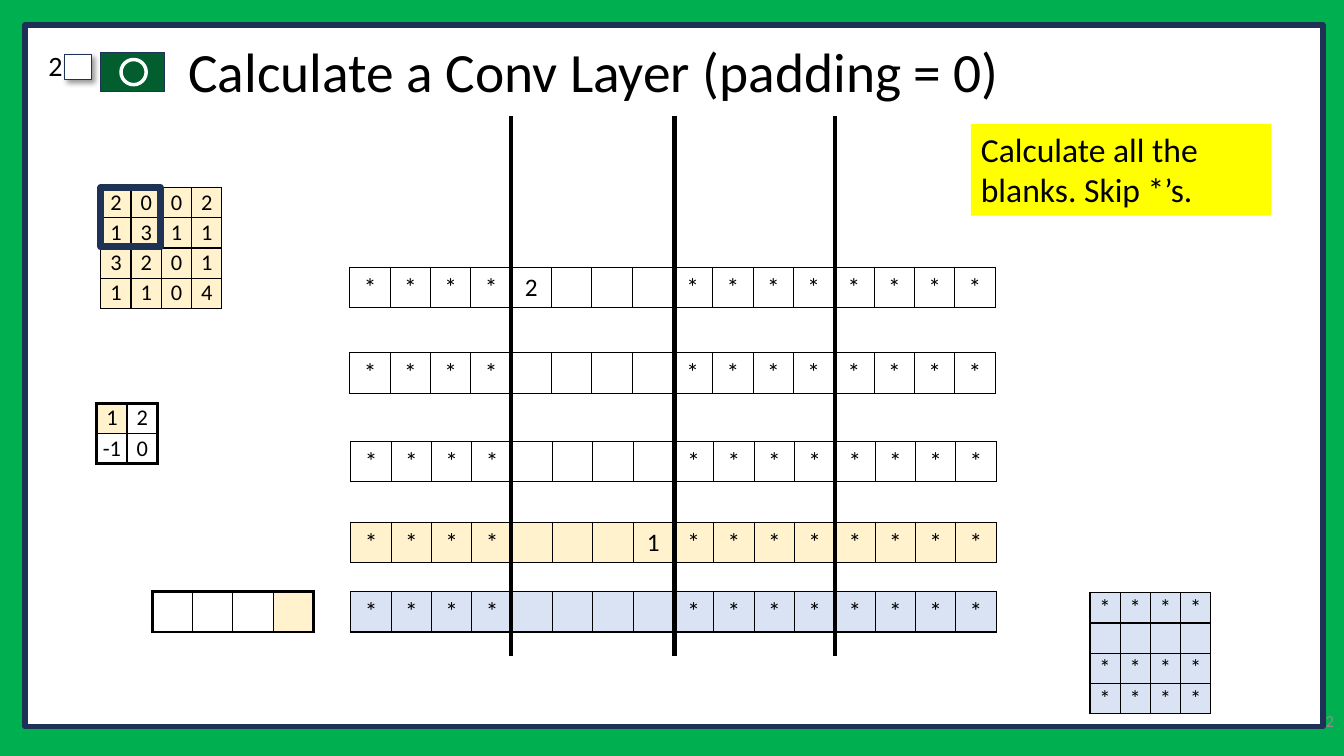
from lxml import etree
from pptx import Presentation
from pptx.dml.color import RGBColor
from pptx.enum.shapes import MSO_CONNECTOR, MSO_SHAPE
from pptx.enum.text import MSO_ANCHOR, PP_ALIGN
from pptx.oxml import parse_xml
from pptx.oxml.ns import nsdecls, qn
from pptx.util import Inches, Pt

RECTANGLE, OVAL = MSO_SHAPE.RECTANGLE, MSO_SHAPE.OVAL
STRAIGHT = MSO_CONNECTOR.STRAIGHT
TOP, MIDDLE = MSO_ANCHOR.TOP, MSO_ANCHOR.MIDDLE
LEFT, CENTER, RIGHT = PP_ALIGN.LEFT, PP_ALIGN.CENTER, PP_ALIGN.RIGHT

GREEN = RGBColor(0x00, 0xB0, 0x50)
DARK_GREEN = RGBColor(0x03, 0x5E, 0x2F)
NAVY = RGBColor(0x1E, 0x32, 0x56)
WHITE = RGBColor(0xFF, 0xFF, 0xFF)
BLACK = RGBColor(0x00, 0x00, 0x00)
GRAY = RGBColor(0x8C, 0x8C, 0x8C)
YELLOW = RGBColor(0xFF, 0xFF, 0x00)
CREAM = RGBColor(0xFF, 0xF2, 0xCC)
PALE_BLUE = RGBColor(0xDA, 0xE3, 0xF3)

FONT = "Calibri"
UNIT = Inches(0.1)
LARGE_CELL, SMALL_CELL = 4, 3
THIN, THICK = 1, 2.25
SKIPPED = ["*"] * 4
BLANKS = [""] * 4


def grid(*counts):
    return [round(count * UNIT) for count in counts]


def write(paragraph, text, size, color=BLACK, align=LEFT):
    paragraph.alignment = align
    run = paragraph.add_run()
    run.text = text
    run.font.name = FONT
    run.font.size = Pt(size)
    run.font.color.rgb = color


def add_block(slide, kind, area, fill=None, line=None, width=1):
    block = slide.shapes.add_shape(kind, *grid(*area))
    block.shadow.inherit = False
    if fill is None:
        block.fill.background()
    else:
        block.fill.solid()
        block.fill.fore_color.rgb = fill
    if line is None:
        block.line.fill.background()
    else:
        block.line.color.rgb = line
        block.line.width = Pt(width)
    return block


def add_drop_shadow(block):
    effects = block._element.spPr.find(qn("a:effectLst"))
    effects.append(parse_xml(
        f'<a:outerShdw {nsdecls("a")} blurRad="{Pt(4)}" dist="{Pt(3)}" '
        'dir="2700000" algn="tl" rotWithShape="0"><a:srgbClr val="000000">'
        '<a:alpha val="40000"/></a:srgbClr></a:outerShdw>'))


def add_label(slide, area, text, size, color=BLACK, align=LEFT, anchor=MIDDLE, spacing=1.0):
    frame = slide.shapes.add_textbox(*grid(*area)).text_frame
    frame.word_wrap = True
    frame.vertical_anchor = anchor
    frame.paragraphs[0].line_spacing = spacing
    write(frame.paragraphs[0], text, size, color, align)


def set_border(cell, side, width):
    cell._tc.get_or_add_tcPr().append(parse_xml(
        f'<a:{side} {nsdecls("a")} w="{Pt(width)}"><a:solidFill>'
        f'<a:srgbClr val="{BLACK}"/></a:solidFill></a:{side}>'))


def add_matrix(slide, left, top, values, cell_size, fills, outer=THIN):
    row_count, col_count = len(values), len(values[0])
    area = grid(left, top, col_count * cell_size, row_count * cell_size)
    table = slide.shapes.add_table(row_count, col_count, *area).table
    table.first_row = table.horz_banding = False
    small = cell_size == SMALL_CELL
    size = 16 if small else 18
    for r, row in enumerate(values):
        for c, value in enumerate(row):
            cell = table.cell(r, c)
            if small:
                cell.margin_left = cell.margin_right = 0
                cell.margin_top = cell.margin_bottom = 0
            cell.vertical_anchor = MIDDLE
            edges = {"lnL": c == 0, "lnR": c == col_count - 1,
                     "lnT": r == 0, "lnB": r == row_count - 1}
            for side, at_edge in edges.items():
                set_border(cell, side, outer if at_edge else THIN)
            fill = fills.get((r, c)) if isinstance(fills, dict) else fills
            if fill is None:
                cell.fill.background()
            else:
                cell.fill.solid()
                cell.fill.fore_color.rgb = fill
            paragraph = cell.text_frame.paragraphs[0]
            if value:
                write(paragraph, value, size, align=CENTER)
            else:
                etree.SubElement(paragraph._p, qn("a:endParaRPr")).set("sz", str(size * 100))


def add_divider(slide, column, top, bottom):
    divider = slide.shapes.add_connector(STRAIGHT, *grid(column, top, column, bottom))
    divider.line.color.rgb = BLACK
    divider.line.width = Pt(3)
    etree.SubElement(divider._element.spPr, qn("a:effectLst"))


def add_header(slide):
    add_block(slide, RECTANGLE, (2.5, 2.5, 128.7, 69.6), WHITE, NAVY, 4)
    checkbox = add_block(slide, RECTANGLE, (6.4, 5.4, 2.7, 2.5), WHITE, NAVY)
    add_drop_shadow(checkbox)
    add_block(slide, RECTANGLE, (10, 5.2, 6.3, 3.9), DARK_GREEN, NAVY)
    add_block(slide, OVAL, (12, 5.9, 2.5, 2.5), DARK_GREEN, WHITE, 2.5)
    add_label(slide, (-0.2, 4.7, 7.4, 4.5), "2", 20, align=RIGHT, anchor=TOP, spacing=0.9)
    add_label(slide, (17.7, 4, 106.5, 6.8), "Calculate a Conv Layer (padding = 0)",
              39.6, spacing=0.9)
    add_label(slide, (103.3, 69.5, 30, 4), "2", 12, GRAY, RIGHT)


def add_matrices(slide):
    image = [list(row) for row in ("2002", "1311", "3201", "1104")]
    add_matrix(slide, 10, 18.6, image, SMALL_CELL, CREAM)
    add_block(slide, RECTANGLE, (10, 18.6, 5.9, 5.9), line=NAVY, width=5)

    unrolled_rows = [
        (34.7, 26.5, ["2", "", "", ""], None),
        (34.7, 35, BLANKS, None),
        (34.8, 43.8, BLANKS, None),
        (34.8, 51.8, ["", "", "", "1"], CREAM),
        (34.8, 58.7, BLANKS, PALE_BLUE),
    ]
    for left, top, answers, fill in unrolled_rows:
        values = [SKIPPED + answers + SKIPPED * 2]
        add_matrix(slide, left, top, values, LARGE_CELL, fill)

    add_matrix(slide, 15.1, 58.7, [BLANKS], LARGE_CELL, {(0, 3): CREAM}, THICK)
    feature_map = [SKIPPED, BLANKS, SKIPPED, SKIPPED]
    add_matrix(slide, 108.1, 58.8, feature_map, SMALL_CELL, PALE_BLUE)
    kernel = [["1", "2"], ["-1", "0"]]
    add_matrix(slide, 9.6, 40, kernel, SMALL_CELL, {(0, 0): CREAM}, THICK)


def add_instruction(slide):
    note = add_block(slide, RECTANGLE, (96.3, 12.3, 29.8, 9.1), YELLOW)
    note.text_frame.word_wrap = True
    note.text_frame.vertical_anchor = TOP
    write(note.text_frame.paragraphs[0], "Calculate all the blanks. Skip *’s.", 24)


def main():
    deck = Presentation()
    deck.slide_width, deck.slide_height = Inches(13.33), Inches(7.5)
    slide = deck.slides.add_slide(deck.slide_layouts[6])
    slide.background.fill.solid()
    slide.background.fill.fore_color.rgb = GREEN
    add_header(slide)
    add_matrices(slide)
    for column in (50.7, 66.9, 82.8):
        add_divider(slide, column, 11.5, 65.1)
    add_instruction(slide)
    deck.save("out.pptx")


if __name__ == "__main__":
    main()
